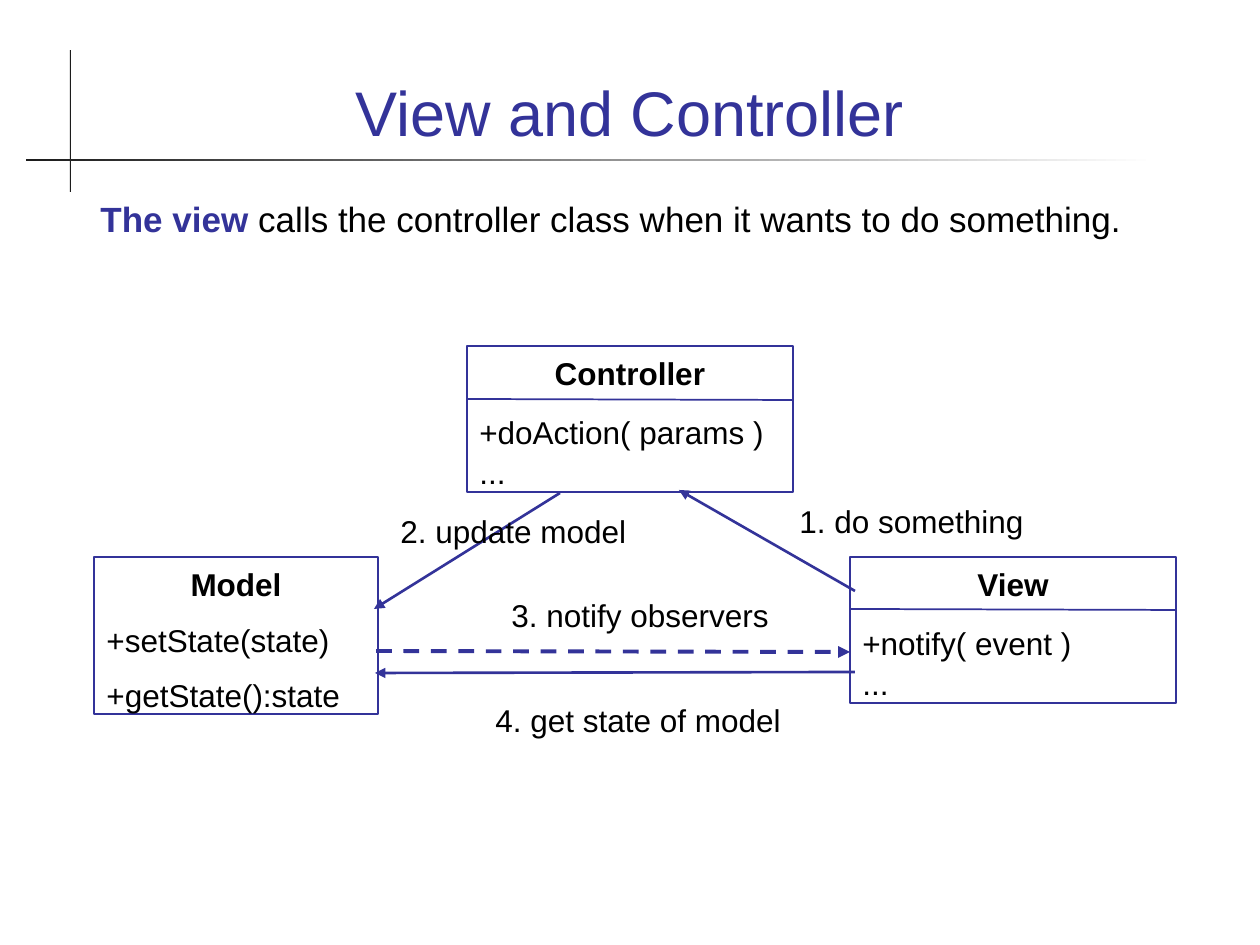
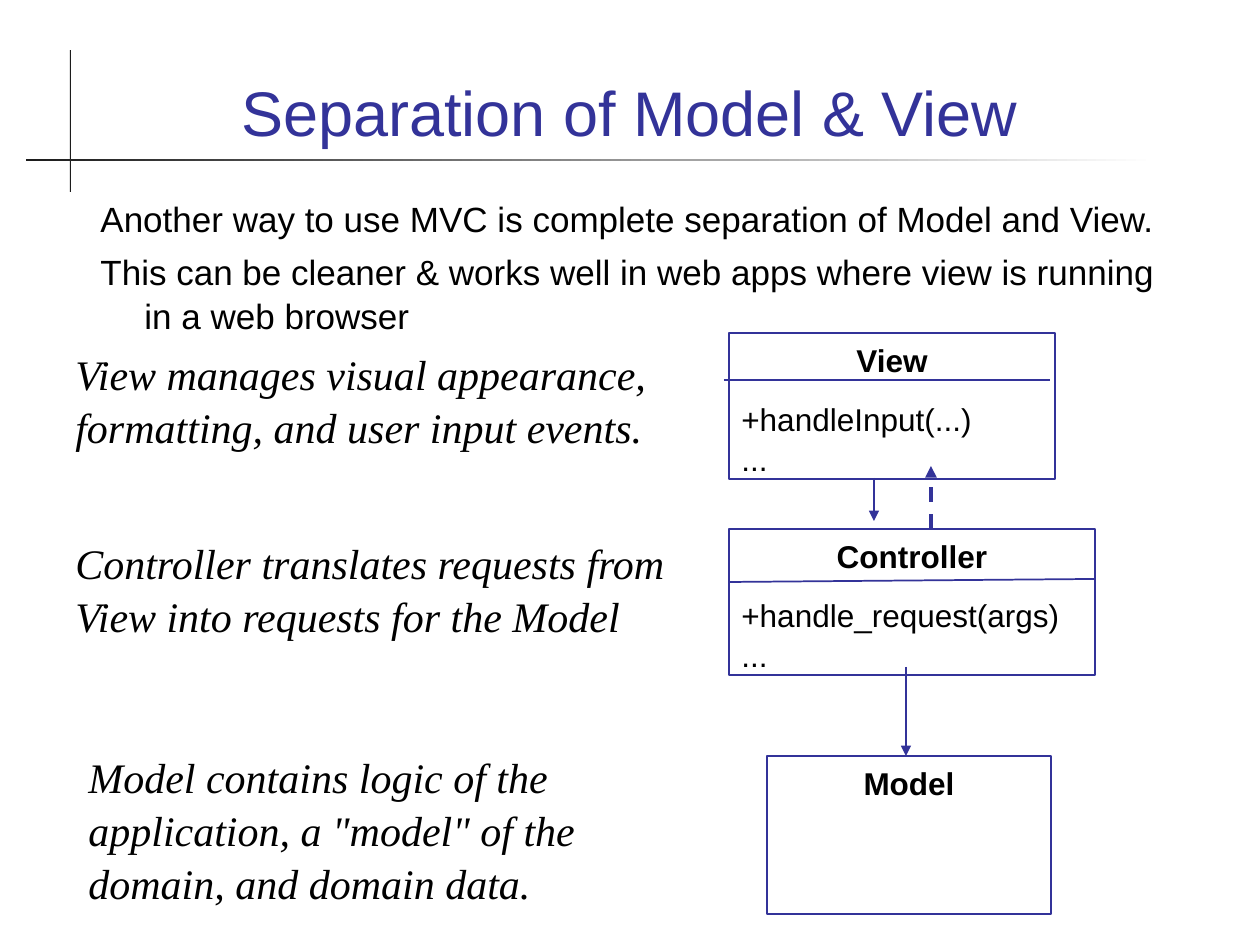
from lxml.etree import SubElement
from pptx import Presentation
from pptx.dml.color import RGBColor
from pptx.enum.dml import MSO_LINE as Dash
from pptx.enum.shapes import MSO_CONNECTOR as Connector, MSO_SHAPE as Shape
from pptx.enum.text import MSO_ANCHOR as Anchor, PP_ALIGN as Align
from pptx.oxml.ns import qn
from pptx.util import Emu, Pt

INDIGO = "333399"
BLACK = "000000"
CHARCOAL = "1C1C1C"
WHITE = "FFFFFF"
SANS = "Arial"
SERIF = "Times New Roman"


def px(length):
    return Emu(round(length * 914400 / 126))


def rgb(value):
    return RGBColor.from_string(value)


def write(para, text, size=18, font=SANS, color=BLACK, bold=False, italic=False):
    span = para.add_run()
    span.text = text
    span.font.size = Pt(size)
    span.font.name = font
    span.font.color.rgb = rgb(color)
    span.font.bold = bold
    span.font.italic = italic


class Deck:
    line_spacing = 1.05
    title_area = (84, 35, 1091, 120)
    body_left, body_top, body_width = 84, 189, 1091
    hanging = 44

    def __init__(self):
        self.file = Presentation()
        self.file.slide_width = px(1260)
        self.file.slide_height = px(945)

    def start_page(self, title):
        self.page = self.file.slides.add_slide(self.file.slide_layouts[6])
        upright = self.bar(70, 50, 1, 142)
        upright.fill.solid()
        upright.fill.fore_color.rgb = rgb(CHARCOAL)
        level = self.bar(26, 159, 1130, 2)
        level.fill.gradient()
        level.fill.gradient_angle = 0
        for stop, color in zip(level.fill.gradient_stops, (CHARCOAL, WHITE)):
            stop.color.rgb = rgb(color)
        frame = self.text_frame(*self.title_area)
        frame.vertical_anchor = Anchor.BOTTOM
        para = self.paragraph(frame, align=Align.CENTER)
        write(para, title, size=36, color=INDIGO)

    def rectangle(self, left, top, width, height):
        box = self.page.shapes.add_shape(
            Shape.RECTANGLE, px(left), px(top), px(width), px(height))
        box.shadow.inherit = False
        return box

    def bar(self, left, top, width, height):
        box = self.rectangle(left, top, width, height)
        box.line.fill.background()
        return box

    def text_frame(self, left, top, width, height):
        box = self.page.shapes.add_textbox(px(left), px(top), px(width), px(height))
        box.text_frame.word_wrap = True
        return box.text_frame

    def paragraph(self, frame, align=Align.LEFT, before=0):
        para = frame.paragraphs[0]
        if para.runs:
            para = frame.add_paragraph()
            para.space_before = Pt(before)
        para.alignment = align
        para.line_spacing = self.line_spacing
        return para

    def body(self, height, *paragraphs):
        frame = self.text_frame(self.body_left, self.body_top, self.body_width, height)
        for spans in paragraphs:
            para = self.paragraph(frame, before=5)
            properties = para._p.get_or_add_pPr()
            properties.set("marL", str(px(self.hanging + 4)))
            properties.set("indent", str(-px(self.hanging)))
            for text, style in spans:
                write(para, text, size=20, **style)

    def class_box(self, left, top, width, height, name, members=()):
        box = self.rectangle(left, top, width, height)
        box.fill.background()
        box.line.color.rgb = rgb(INDIGO)
        box.line.width = Pt(1)
        frame = box.text_frame
        frame.word_wrap = True
        frame.vertical_anchor = Anchor.TOP
        write(self.paragraph(frame, align=Align.CENTER), name, bold=True)
        for text, before in members:
            write(self.paragraph(frame, before=before), text)

    def interface(self, left, top, width, name, method):
        self.class_box(left, top, width, 146, name, [(method, 11.2), ("...", 0)])

    def label(self, left, top, width, text):
        write(self.paragraph(self.text_frame(left, top, width, 50)), text)

    def remark(self, left, top, text):
        frame = self.text_frame(left, top, 617, 164)
        write(self.paragraph(frame), text, size=24, font=SERIF, italic=True)

    def line(self, x1, y1, x2, y2, weight=1):
        link = self.page.shapes.add_connector(
            Connector.STRAIGHT, px(x1), px(y1), px(x2), px(y2))
        link.line.color.rgb = rgb(INDIGO)
        link.line.width = Pt(weight)
        SubElement(link._element.spPr, qn("a:effectLst"))
        return link

    def arrow(self, x1, y1, x2, y2, dashed=False):
        link = self.line(x1, y1, x2, y2, weight=2.25 if dashed else 1.5)
        outline = link.line._get_or_add_ln()
        if dashed:
            link.line.dash_style = Dash.DASH
            outline.set("cap", "sq")
        SubElement(outline, qn("a:tailEnd"), type="triangle")


def view_and_controller(deck):
    deck.start_page("View and Controller")
    deck.body(116, [
        ("The view", {"color": INDIGO, "bold": True}),
        (" calls the controller class when it wants to do something.", {}),
    ])
    deck.class_box(94, 557, 284, 157, "Model",
                   [("+setState(state)", 9), ("+getState():state", 9)])
    deck.interface(850, 557, 326, "View", "+notify( event )")
    deck.line(850, 609, 1176, 610)
    deck.interface(467, 346, 326, "Controller", "+doAction( params )")
    deck.line(467, 399, 793, 400)
    deck.arrow(855, 591, 679, 490)
    deck.label(787, 494, 263, "1. do something")
    deck.arrow(560, 493, 374, 609)
    deck.label(388, 504, 263, "2. update model")
    deck.arrow(378, 651, 850, 652, dashed=True)
    deck.label(499, 588, 300, "3. notify observers")
    deck.arrow(855, 672, 375, 673)
    deck.label(483, 693, 320, "4. get state of model")


def separation(deck):
    deck.start_page("Separation of Model & View")
    deck.body(
        164,
        [("Another way to use MVC is complete separation of Model and View.", {})],
        [("This can be cleaner & works well in web apps where view is running "
          "in a web browser", {})],
    )
    deck.class_box(767, 756, 284, 158, "Model")
    deck.interface(729, 333, 326, "View", "+handleInput(...)")
    deck.line(724, 380, 1050, 380)
    deck.interface(729, 529, 366, "Controller", "+handle_request(args)")
    deck.line(729, 582, 1095, 579)
    deck.arrow(906, 667, 906, 756)
    deck.arrow(874, 478, 874, 521)
    deck.arrow(931, 528, 931, 466, dashed=True)
    deck.remark(63, 529, "Controller translates requests from View into requests "
                         "for the Model")
    deck.remark(63, 340, "View manages visual appearance, formatting, and user "
                         "input events.")
    deck.remark(76, 743, "Model contains logic of the application, a \"model\" of "
                         "the domain, and domain data.")


def main():
    deck = Deck()
    view_and_controller(deck)
    separation(deck)
    deck.file.save("out.pptx")


if __name__ == "__main__":
    main()
